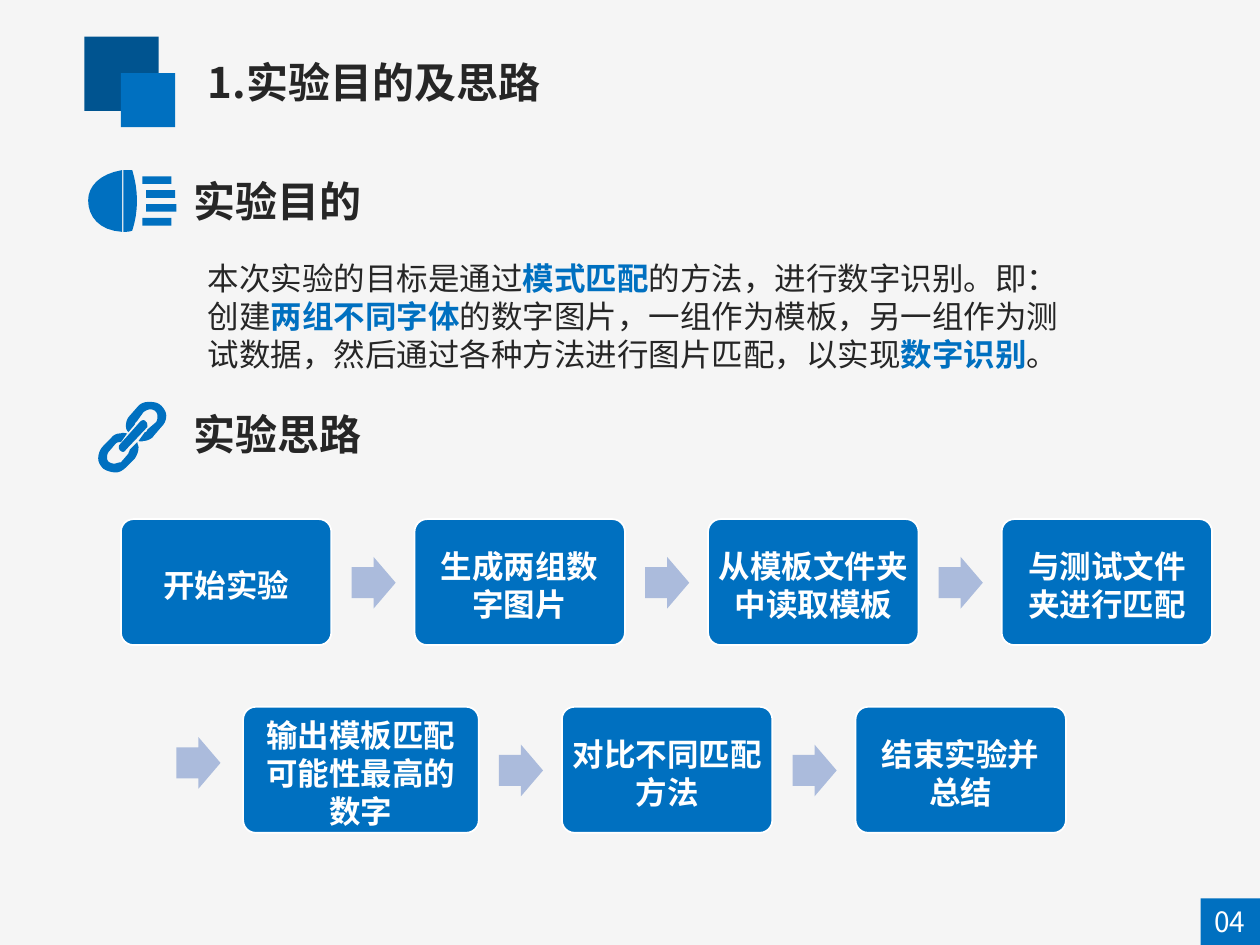
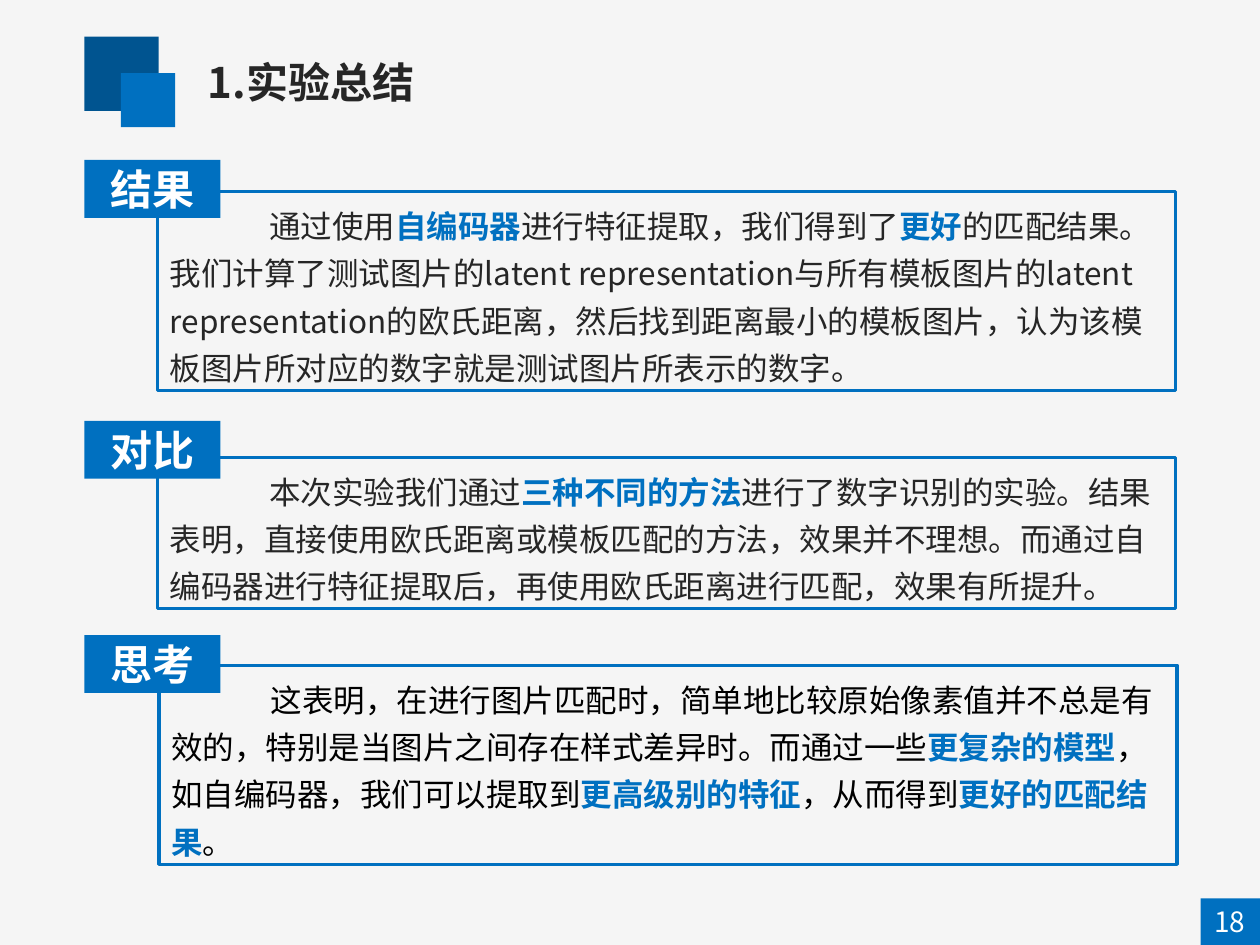
from dataclasses import dataclass
from lxml import etree
from pptx import Presentation
from pptx.dml.color import RGBColor
from pptx.enum.shapes import MSO_SHAPE
from pptx.enum.text import MSO_ANCHOR, MSO_AUTO_SIZE, PP_ALIGN
from pptx.oxml.ns import qn
from pptx.util import Inches, Pt

RECT = MSO_SHAPE.RECTANGLE
ROUNDED = MSO_SHAPE.ROUNDED_RECTANGLE
ARROW = MSO_SHAPE.RIGHT_ARROW
LEFT, CENTER = PP_ALIGN.LEFT, PP_ALIGN.CENTER
TOP, MIDDLE = MSO_ANCHOR.TOP, MSO_ANCHOR.MIDDLE
GROW = MSO_AUTO_SIZE.SHAPE_TO_FIT_TEXT


@dataclass(frozen=True)
class Theme:
    font: str = "Noto Sans CJK SC"
    background: str = "F5F5F5"
    accent: str = "0070C0"
    dark: str = "005490"
    arrow: str = "ABBBDC"
    ink: str = "262626"
    black: str = "000000"
    white: str = "FFFFFF"
    heading: int = 24
    body: int = 18
    number: int = 16


THEME = Theme()


def rgb(code):
    return RGBColor.from_string(code)


def write(s, text, size=THEME.body, color=THEME.ink, bold=False, align=LEFT,
          anchor=TOP, spacing=None, indent=0, inset=0.1, grow=False):
    tf = s.text_frame
    tf.word_wrap = True
    if grow:
        tf.auto_size = GROW
    tf.vertical_anchor = anchor
    tf.margin_left = tf.margin_right = Inches(inset)
    p = tf.paragraphs[0]
    p.alignment = align
    if spacing:
        p.line_spacing = spacing
    if indent:
        p._p.get_or_add_pPr().set("indent", str(Inches(indent)))
    for i, part in enumerate(text.split("*")):
        marked = i % 2 == 1
        r = p.add_run()
        r.text = part
        r.font.size = Pt(size)
        r.font.bold = bold or marked
        r.font.color.rgb = rgb(THEME.accent if marked else color)
        r.font.name = THEME.font
        etree.SubElement(r._r.get_or_add_rPr(), qn("a:ea"), typeface=THEME.font)


def flatten(contour, steps=8):
    points = [contour[0]]
    for seg in contour[1:]:
        if len(seg) == 2:
            points.append(seg)
            continue
        x0, y0 = points[-1]
        x1, y1, x2, y2, x3, y3 = seg
        for i in range(1, steps + 1):
            t = i / steps
            u = 1 - t
            a, b, c, d = u ** 3, 3 * u * u * t, 3 * u * t * t, t ** 3
            points.append((a * x0 + b * x1 + c * x2 + d * x3,
                           a * y0 + b * y1 + c * y2 + d * y3))
    return [(Inches(x), Inches(y)) for x, y in points]


class Deck:
    def __init__(self, theme):
        self.theme = theme
        self.prs = Presentation()
        self.prs.slide_width, self.prs.slide_height = Inches(10), Inches(7.5)
        self.slide = None

    def new_slide(self, title, number):
        th = self.theme
        self.slide = self.prs.slides.add_slide(self.prs.slide_layouts[6])
        fill = self.slide.background.fill
        fill.solid()
        fill.fore_color.rgb = rgb(th.background)
        self.shape(RECT, 0.67, 0.29, 0.59, 0.59, fill=th.dark)
        self.shape(RECT, 0.96, 0.58, 0.43, 0.43, fill=th.accent)
        self.heading(title, 1.55, 0.4)
        self.shape(RECT, 9.53, 7.13, 0.47, 0.37, fill=th.accent)
        self.text(number, 9.41, 7.13, 0.7, 0.37, size=th.number,
                  color=th.white, align=CENTER)

    def paint(self, s, fill=None, line=None, width=1):
        s.shadow.inherit = False
        if fill:
            s.fill.solid()
            s.fill.fore_color.rgb = rgb(fill)
        else:
            s.fill.background()
        if line:
            s.line.color.rgb = rgb(line)
            s.line.width = Pt(width)
        else:
            s.line.fill.background()

    def shape(self, kind, x, y, w, h, adjust=(), **style):
        s = self.slide.shapes.add_shape(kind, Inches(x), Inches(y), Inches(w), Inches(h))
        for i, value in enumerate(adjust):
            s.adjustments[i] = value
        self.paint(s, **style)
        return s

    def text(self, text, x, y, w, h, **fmt):
        s = self.slide.shapes.add_textbox(Inches(x), Inches(y), Inches(w), Inches(h))
        write(s, text, grow=True, **fmt)

    def heading(self, text, x, y):
        self.text(text, x, y, 7.78, 0.5, size=self.theme.heading, bold=True)

    def icon(self, contours):
        first, *rest = [flatten(c) for c in contours]
        fb = self.slide.shapes.build_freeform(*first[0])
        fb.add_line_segments(first[1:])
        for points in rest:
            fb.move_to(*points[0])
            fb.add_line_segments(points[1:])
        self.paint(fb.convert_to_shape(), fill=self.theme.accent)

    def arrow(self, x, y):
        self.shape(ARROW, x, y, 0.35, 0.41, adjust=(0.6, 0.5), fill=self.theme.arrow)

    def flow(self, x, y, steps):
        th = self.theme
        for i, (label, w, inset) in enumerate(steps):
            s = self.shape(ROUNDED, x, y, w, 1, adjust=(0.1,),
                           fill=th.accent, line=th.white)
            write(s, label, color=th.white, bold=True, align=CENTER,
                  anchor=MIDDLE, inset=inset)
            s.text_frame.margin_bottom = 0
            if i < len(steps) - 1:
                self.arrow(x + w + 0.16, y + 0.3)
            x += w + 0.66

    def panel(self, label, body, tag_y, x, y, h, color):
        th = self.theme
        s = self.shape(RECT, x, y, 8.08, h, line=th.accent, width=2)
        write(s, body, color=color, spacing=1.25, indent=0.79, grow=True)
        s = self.shape(RECT, 0.67, tag_y, 1.08, 0.46, fill=th.accent)
        write(s, label, size=th.heading, color=th.white, bold=True,
              align=CENTER, anchor=MIDDLE)


def bar(x, y, w):
    return [(x, y), (x + w, y), (x + w, y + 0.06), (x, y + 0.06), (x, y)]


LAMP = [
    [(0.97, 1.84), (0.79, 1.83, 0.7, 1.72, 0.7, 1.59),
     (0.7, 1.48, 0.79, 1.38, 0.97, 1.35), (0.97, 1.84)],
    [(1.05, 1.35), (1.1, 1.51, 1.1, 1.68, 1.05, 1.83),
     (1.03, 1.84, 1, 1.84, 0.98, 1.84), (0.98, 1.35),
     (1, 1.35, 1.03, 1.35, 1.05, 1.35)],
] + [bar(x, 1.4 + 0.11 * i, w)
     for i, (x, w) in enumerate([(1.13, 0.23), (1.16, 0.23), (1.16, 0.24), (1.13, 0.23)])]

CHAIN = [
    [(1.09, 3.51), (1.09, 3.52, 1.1, 3.54, 1.1, 3.55),
     (1.1, 3.58, 1.09, 3.61, 1.07, 3.64), (1, 3.71),
     (0.98, 3.73, 0.95, 3.75, 0.92, 3.75), (0.89, 3.75, 0.85, 3.74, 0.82, 3.72),
     (0.8, 3.7, 0.78, 3.67, 0.78, 3.64), (0.78, 3.61, 0.79, 3.57, 0.82, 3.54),
     (0.88, 3.48), (0.9, 3.45, 0.93, 3.44, 0.96, 3.44),
     (0.98, 3.43, 0.99, 3.44, 1.01, 3.44), (0.96, 3.51),
     (0.94, 3.51, 0.93, 3.51, 0.92, 3.52), (0.86, 3.59),
     (0.85, 3.61, 0.85, 3.62, 0.85, 3.63), (0.85, 3.64, 0.85, 3.66, 0.87, 3.67),
     (0.89, 3.68, 0.9, 3.68, 0.91, 3.68), (0.92, 3.68, 0.94, 3.67, 0.96, 3.67),
     (1.02, 3.6), (1.02, 3.59, 1.03, 3.58, 1.03, 3.57), (1.09, 3.51)],
    [(1.28, 3.22), (1.25, 3.19, 1.21, 3.19, 1.18, 3.19),
     (1.15, 3.19, 1.12, 3.2, 1.1, 3.22), (1.03, 3.3),
     (1.01, 3.32, 1, 3.35, 1, 3.38), (1, 3.41, 1.01, 3.42, 1.02, 3.43),
     (1.07, 3.37), (1.07, 3.36, 1.08, 3.35, 1.09, 3.34), (1.14, 3.27),
     (1.16, 3.26, 1.17, 3.25, 1.19, 3.25), (1.21, 3.25, 1.21, 3.25, 1.23, 3.26),
     (1.25, 3.28, 1.25, 3.29, 1.25, 3.31), (1.25, 3.32, 1.25, 3.33, 1.24, 3.35),
     (1.17, 3.41), (1.17, 3.42, 1.16, 3.43, 1.15, 3.43), (1.1, 3.5),
     (1.1, 3.5, 1.12, 3.51, 1.14, 3.5), (1.17, 3.5, 1.21, 3.48, 1.22, 3.46),
     (1.28, 3.39), (1.31, 3.36, 1.32, 3.33, 1.32, 3.3),
     (1.32, 3.27, 1.3, 3.24, 1.28, 3.22)],
    [(1.16, 3.35), (1.15, 3.33, 1.13, 3.33, 1.11, 3.35), (0.95, 3.53),
     (0.94, 3.54, 0.94, 3.57, 0.96, 3.58), (0.97, 3.59, 0.99, 3.59, 1, 3.57),
     (1.17, 3.39), (1.17, 3.38, 1.17, 3.35, 1.16, 3.35)],
]

deck = Deck(THEME)

deck.new_slide("1.实验目的及思路", "04")
deck.icon(LAMP)
deck.heading("实验目的", 1.44, 1.34)
deck.text("本次实验的目标是通过*模式匹配*的方法，进行数字识别。即：创建*两组不同字体*的数字图片，"
          "一组作为模板，另一组作为测试数据，然后通过各种方法进行图片匹配，以实现*数字识别*。",
          1.55, 2.01, 7.17, 1.01)
deck.icon(CHAIN)
deck.heading("实验思路", 1.44, 3.19)
deck.flow(0.96, 4.12, [
    ("开始实验", 1.67, 0.1),
    ("生成两组数字图片", 1.67, 0.1),
    ("从模板文件夹中读取模板", 1.67, 0.05),
    ("与测试文件夹进行匹配", 1.67, 0.1),
])
deck.arrow(1.4, 5.85)
deck.flow(1.93, 5.61, [
    ("输出模板匹配可能性最高的数字", 1.87, 0.1),
    ("对比不同匹配方法", 1.67, 0.05),
    ("结束实验并总结", 1.67, 0.1),
])

deck.new_slide("1.实验总结", "18")
deck.panel("结果",
           "通过使用*自编码器*进行特征提取，我们得到了*更好*的匹配结果。我们计算了测试图片的"
           "latent representation与所有模板图片的latent representation的欧氏距离，"
           "然后找到距离最小的模板图片，认为该模板图片所对应的数字就是测试图片所表示的数字。",
           1.27, 1.25, 1.52, 1.58, THEME.ink)
deck.panel("对比",
           "本次实验我们通过*三种不同的方法*进行了数字识别的实验。结果表明，直接使用欧氏距离或"
           "模板匹配的方法，效果并不理想。而通过自编码器进行特征提取后，再使用欧氏距离进行匹配，"
           "效果有所提升。",
           3.34, 1.25, 3.63, 1.2, THEME.ink)
deck.panel("思考",
           "这表明，在进行图片匹配时，简单地比较原始像素值并不总是有效的，特别是当图片之间存在"
           "样式差异时。而通过一些*更复杂的模型*，如自编码器，我们可以提取到*更高级别的特征*，"
           "从而得到*更好的匹配结果*。",
           5.04, 1.26, 5.28, 1.58, THEME.black)

deck.prs.save("out.pptx")
